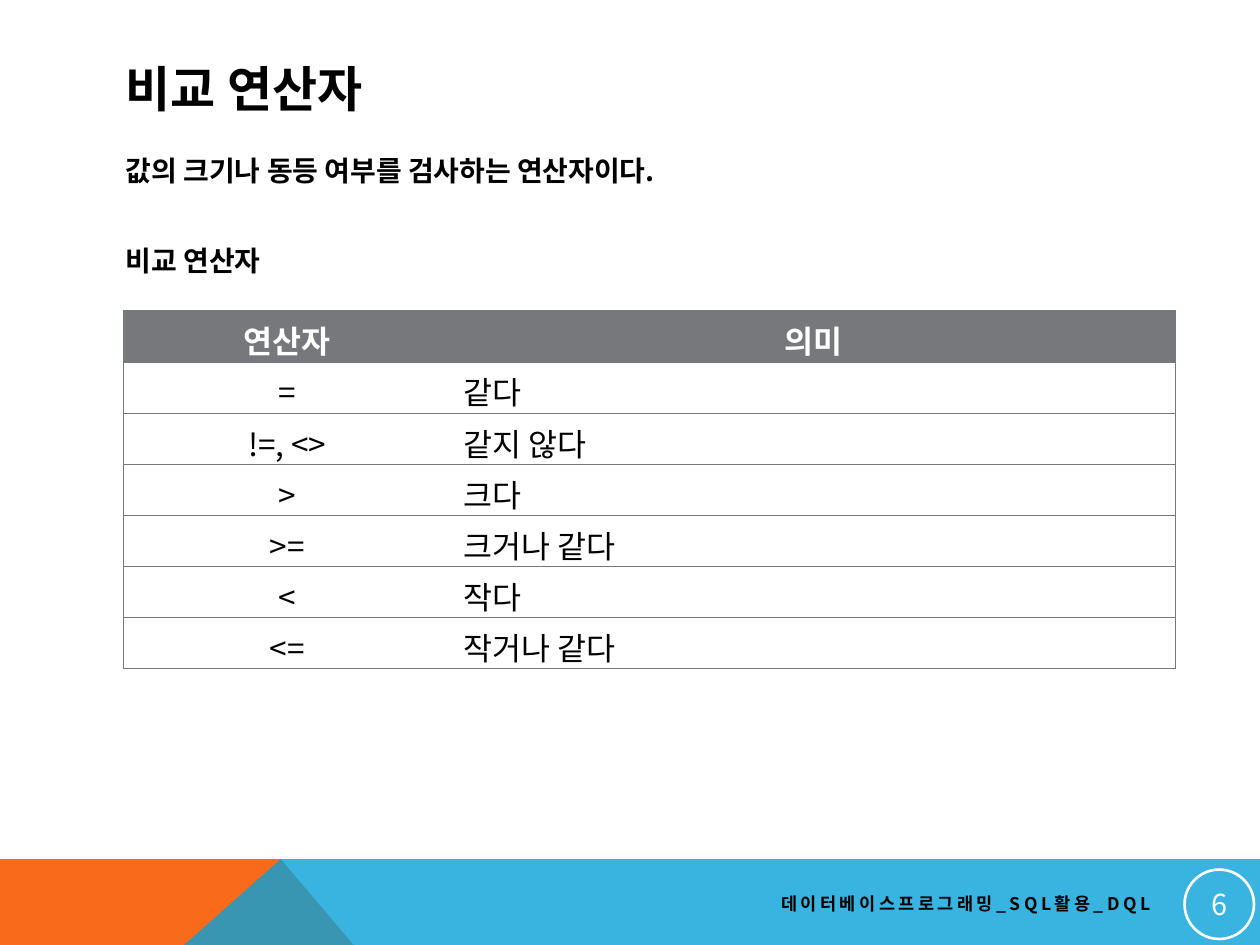
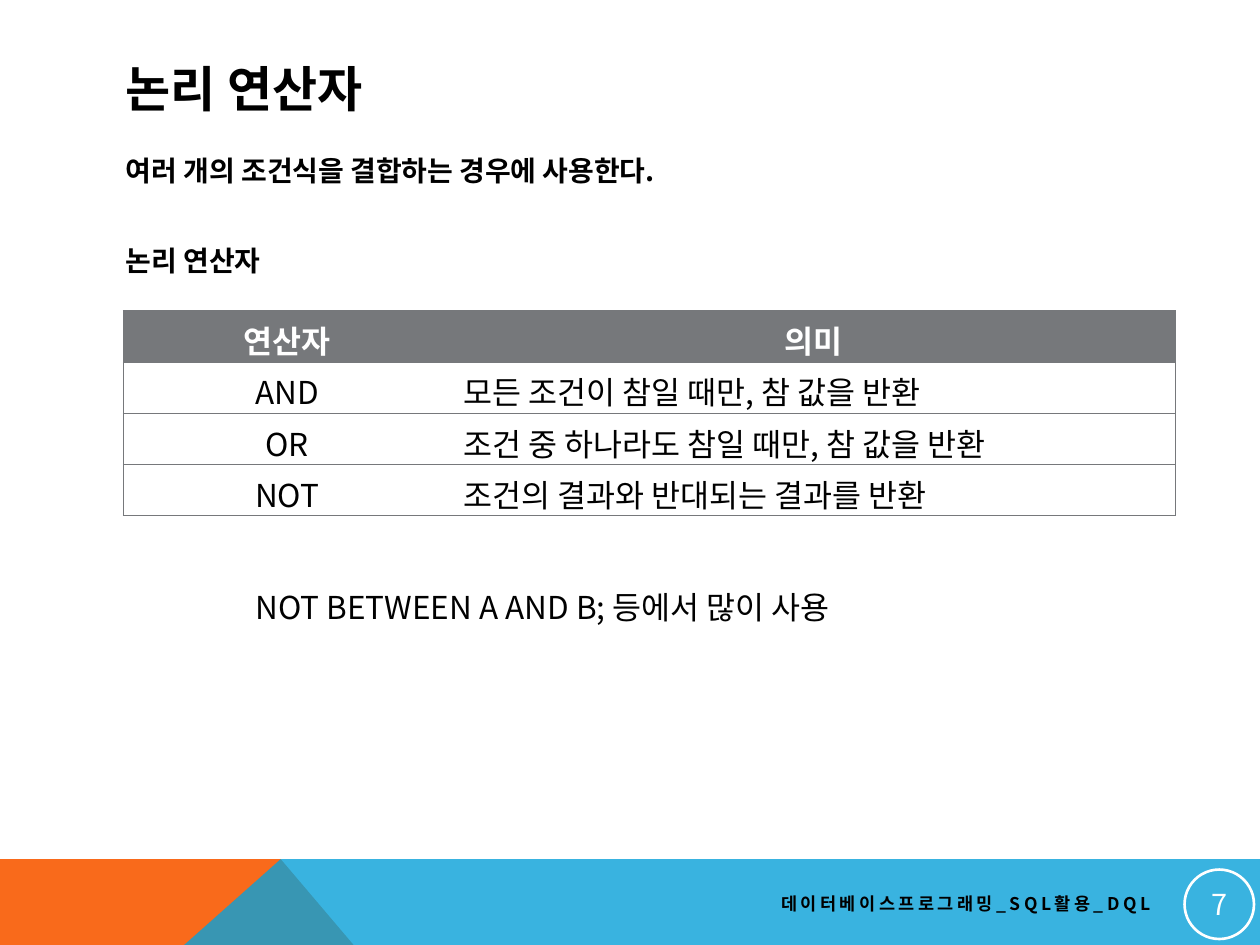
from lxml.etree import SubElement
from pptx import Presentation
from pptx.dml.color import RGBColor
from pptx.enum.shapes import MSO_SHAPE as SHAPE
from pptx.enum.text import MSO_ANCHOR as ANCHOR, PP_ALIGN as ALIGN
from pptx.oxml.ns import qn
from pptx.util import Cm, Pt

FONT = "Noto Sans CJK KR"
BLACK = RGBColor(0x00, 0x00, 0x00)
WHITE = RGBColor(0xFF, 0xFF, 0xFF)
GRAY = RGBColor(0x76, 0x78, 0x7B)
ORANGE = RGBColor(0xF9, 0x6A, 0x1B)
BLUE = RGBColor(0x08, 0xA1, 0xD9)

WIDTH, HEIGHT = 25.4, 19.05
LEFT, TEXT_WIDTH = 2.29, 20.88
BAND_TOP, BAND_BOTTOM, PEAK = 17.32, 22.35, 5.66
COLUMNS, ROW_HEIGHT = (6.6, 14.61), 1.03
FOOTER = "데이터베이스프로그래밍_SQL활용_DQL"
HEADER = ("연산자", "의미")

COMPARISON = [
    ("=", "같다"),
    ("!=, <>", "같지 않다"),
    (">", "크다"),
    (">=", "크거나 같다"),
    ("<", "작다"),
    ("<=", "작거나 같다"),
]
LOGIC = [
    ("AND", "모든 조건이 참일 때만, 참 값을 반환"),
    ("OR", "조건 중 하나라도 참일 때만, 참 값을 반환"),
    ("NOT", "조건의 결과와 반대되는 결과를 반환"),
]


def write(p, text, size=18, color=BLACK, bold=False, align=ALIGN.LEFT,
          tracking=None, before=None, leading=None):
    p.alignment = align
    if before is not None:
        p.space_before = Pt(before)
    if leading:
        p.line_spacing = leading
    r = p.add_run()
    r.text = text
    r.font.size, r.font.bold = Pt(size), bold
    r.font.color.rgb = color
    r.font.name = FONT
    rPr = r.font._element
    SubElement(rPr, qn("a:ea")).set("typeface", FONT)
    if tracking:
        rPr.set("spc", str(tracking * 100))


def add_box(s, left, top, width, height, anchor=ANCHOR.TOP, wrap=True):
    tf = s.shapes.add_textbox(Cm(left), Cm(top), Cm(width), Cm(height)).text_frame
    tf.word_wrap = wrap
    tf.vertical_anchor = anchor
    return tf


def add_outline(s, points, color, opacity=100):
    (x, y), *rest = [(Cm(x), Cm(y)) for x, y in points]
    builder = s.shapes.build_freeform(x, y)
    builder.add_line_segments(rest, close=True)
    sp = builder.convert_to_shape()
    sp.shadow.inherit = False
    sp.fill.solid()
    sp.fill.fore_color.rgb = color
    sp.line.fill.background()
    if opacity < 100:
        clr = sp._element.spPr.find(qn("a:solidFill"))[0]
        SubElement(clr, qn("a:alpha")).set("val", str(opacity * 1000))


def add_footer(s, number):
    corner, peak = (0, BAND_BOTTOM), (PEAK, BAND_TOP)
    add_outline(s, [corner, (0, BAND_TOP), peak, (9.93, BAND_BOTTOM)], ORANGE)
    add_outline(s, [corner, peak, (WIDTH, BAND_TOP), (WIDTH, BAND_BOTTOM)], BLUE, 80)
    tf = add_box(s, 10.31, 17.83, 13.13, 0.76, ANCHOR.MIDDLE)
    write(tf.paragraphs[0], FOOTER, size=10, bold=True, align=ALIGN.RIGHT, tracking=2)

    sp = s.shapes.add_shape(SHAPE.OVAL, Cm(23.88), Cm(17.53), Cm(1.4), Cm(1.4))
    sp.shadow.inherit = False
    sp.fill.background()
    sp.line.color.rgb = WHITE
    sp.line.width = Pt(1.5)
    tf = sp.text_frame
    tf.margin_left = tf.margin_right = tf.margin_top = tf.margin_bottom = Cm(0.03)
    tf.vertical_anchor = ANCHOR.MIDDLE
    write(tf.paragraphs[0], str(number), size=16.5, color=WHITE, align=ALIGN.CENTER)


def set_borders(cell, sides):
    tcPr = cell._tc.get_or_add_tcPr()
    for side in "LRTB":
        ln = SubElement(tcPr, qn("a:ln" + side), w=str(Pt(0.75)))
        if side in sides:
            fill = SubElement(ln, qn("a:solidFill"))
            SubElement(fill, qn("a:srgbClr")).set("val", str(GRAY))
        else:
            SubElement(ln, qn("a:noFill"))


def add_operators(s, rows):
    rows = [HEADER] + rows
    table = s.shapes.add_table(len(rows), len(COLUMNS), Cm(2.49), Cm(6.27),
                               Cm(sum(COLUMNS)), Cm(ROW_HEIGHT * len(rows))).table
    table.horz_banding = False
    for column, width in zip(table.columns, COLUMNS):
        column.width = Cm(width)
    for i, row in enumerate(rows):
        table.rows[i].height = Cm(ROW_HEIGHT)
        head = i == 0
        for j, text in enumerate(row):
            cell = table.cell(i, j)
            cell.vertical_anchor = ANCHOR.MIDDLE
            set_borders(cell, "LTB" if j == 0 else "RTB")
            cell.fill.solid()
            cell.fill.fore_color.rgb = GRAY if head else WHITE
            write(cell.text_frame.paragraphs[0], text, bold=head,
                  color=WHITE if head else BLACK,
                  align=ALIGN.CENTER if head or j == 0 else ALIGN.LEFT)


def add_operator_slide(prs, number, title, summary, rows):
    s = prs.slides.add_slide(prs.slide_layouts[6])
    add_footer(s, number)
    tf = add_box(s, LEFT, 1.02, TEXT_WIDTH, 1.52, ANCHOR.MIDDLE)
    write(tf.paragraphs[0], title, size=28, bold=True)
    tf = add_box(s, LEFT, 3.05, TEXT_WIDTH, 3.07)
    write(tf.paragraphs[0], summary, size=16, bold=True, leading=0.9)
    write(tf.add_paragraph(), title, size=16, bold=True, before=34, leading=0.9)
    add_operators(s, rows)
    return s


def main():
    prs = Presentation()
    prs.slide_width, prs.slide_height = Cm(WIDTH), Cm(HEIGHT)
    add_operator_slide(prs, 6, "비교 연산자",
                       "값의 크기나 동등 여부를 검사하는 연산자이다.", COMPARISON)
    s = add_operator_slide(prs, 7, "논리 연산자",
                           "여러 개의 조건식을 결합하는 경우에 사용한다.", LOGIC)
    tf = add_box(s, 4.9, 11.73, 13.03, 1.02, wrap=False)
    write(tf.paragraphs[0], "NOT BETWEEN A AND B; 등에서 많이 사용")
    prs.save("out.pptx")


main()
